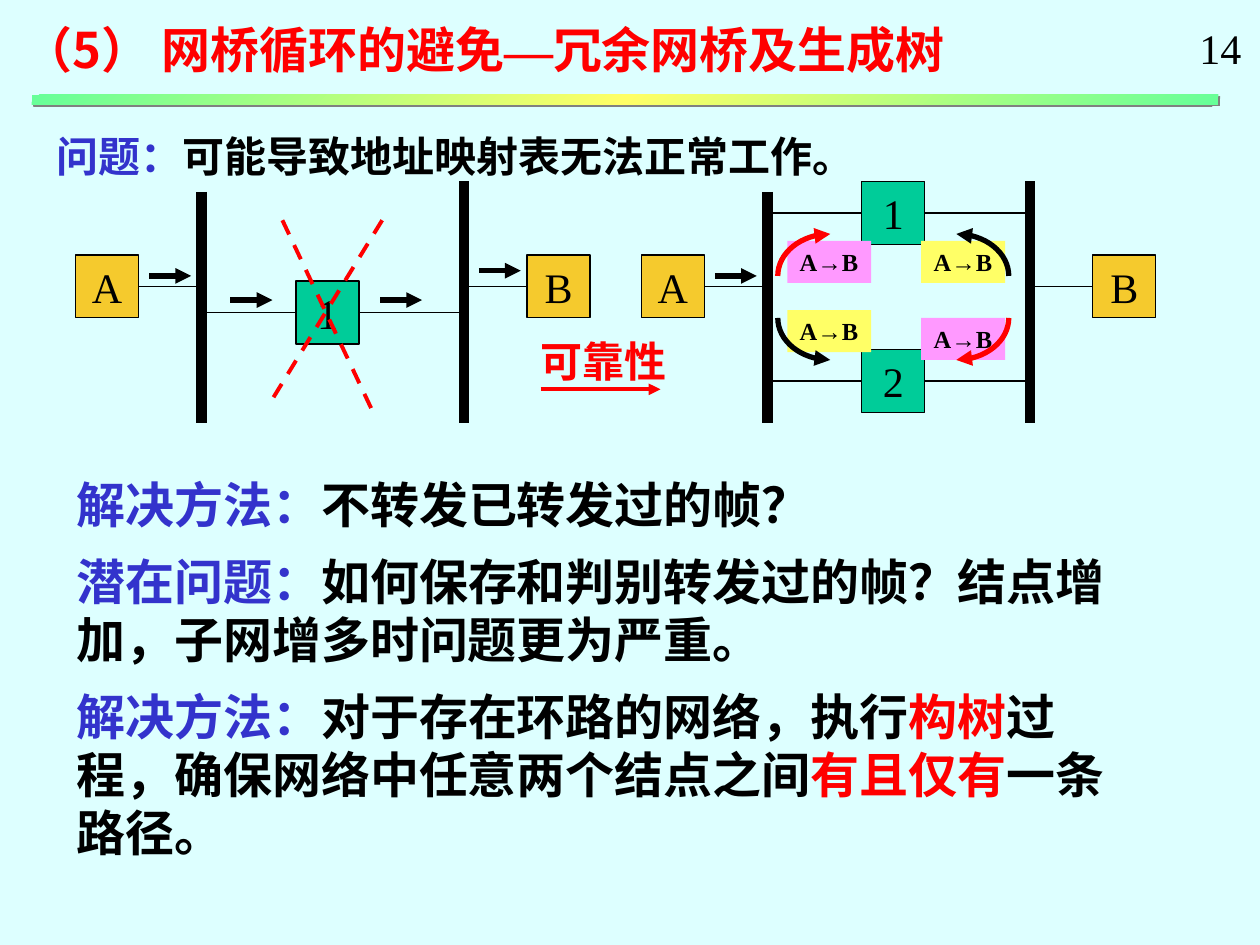
"""Build the slide on redundant bridges and the spanning tree."""
from copy import deepcopy
from dataclasses import dataclass
from math import cos, pi, sin
from typing import NamedTuple, Optional

from pptx import Presentation
from pptx import util as u
from pptx.dml.color import RGBColor
from pptx.enum import dml, shapes, text
from pptx.oxml import parse_xml
from pptx.oxml.ns import nsdecls, qn
from pptx.oxml.xmlchemy import OxmlElement


@dataclass(frozen=True)
class Theme:
    """Colours, fonts and type sizes of the slide."""
    background: str = "DDFFFF"
    ink: str = "000000"
    topic: str = "3333CC"
    alert: str = "FF0000"
    host: str = "F5CA2D"
    bridge: str = "00CC99"
    pink: str = "FF99FF"
    yellow: str = "FFFF66"
    mint: str = "66FF99"
    shade: str = "808080"
    serif: str = "Times New Roman"
    sans: str = "Noto Sans CJK SC"
    heading: float = 28
    normal: float = 24
    tag: float = 14
    thin: float = 0.75
    medium: float = 2.25
    thick: float = 3
    bus: float = 6
    leading: float = 1.19


class Span(NamedTuple):
    """A piece of text with its colour and an optional font."""
    words: str
    color: str
    font: Optional[str] = None


class Box(NamedTuple):
    """A labelled square placed by grid column and row."""
    label: str
    col: float
    row: float
    fill: str


class Tag(NamedTuple):
    """An address mapping entry placed by grid column and row."""
    col: float
    row: float
    fill: str


class Bend(NamedTuple):
    """A quarter turn given by its centre and its signed radii."""
    col: float
    row: float
    across: float
    down: float
    color: str


T = Theme()
CELL = 1 / 12
SIDE = 6
TOP = 1.44
FIRST_BUS, LAST_BUS, FOOT = 12, 37, 23
BEND_STEPS = 16


def rgb(value: str) -> RGBColor:
    """Turn a hex value into a colour."""
    return RGBColor.from_string(value)


def add_asian(font, name: str) -> None:
    """Name the East Asian typeface of a font."""
    face = OxmlElement("a:ea")
    face.set("typeface", name)
    font._rPr.find(qn("a:latin")).addnext(face)


def set_font(font, size: float, latin: str, asian: str, color: str, bold: bool = False) -> None:
    """Set every font property shared by a paragraph."""
    font.size, font.bold, font.name = u.Pt(size), bold, latin
    font.color.rgb = rgb(color)
    add_asian(font, asian)


def write(canvas, place: tuple, paragraphs: list, size: float, latin: str = T.sans,
          bold: bool = True, wrap: bool = True, middle: bool = False) -> None:
    """Add a text box with coloured spans."""
    frame = canvas.add_textbox(*(u.Inches(v) for v in place)).text_frame
    frame.word_wrap = wrap
    frame.vertical_anchor = text.MSO_ANCHOR.MIDDLE if middle else text.MSO_ANCHOR.TOP
    for index, spans in enumerate(paragraphs):
        paragraph = frame.add_paragraph() if index else frame.paragraphs[0]
        paragraph._p.get_or_add_pPr().set("hangingPunct", "0")
        if index:
            paragraph.space_before = u.Pt(10.5)
        paragraph.line_spacing = u.Pt(size * T.leading)
        set_font(paragraph.font, size, latin, T.sans, spans[0].color, bold)
        for span in spans:
            run = paragraph.add_run()
            run.text = span.words
            if span.color != spans[0].color:
                run.font.color.rgb = rgb(span.color)
            if span.font:
                run.font.name = span.font
                add_asian(run.font, span.font)


def add_arrow(line, end: str) -> None:
    """Put a triangle on the head or tail end of a line."""
    arrow = OxmlElement(f"a:{end}End")
    arrow.set("type", "triangle")
    line._get_or_add_ln().append(arrow)


@dataclass
class Diagram:
    """A network drawn on a grid that starts at a left edge."""
    canvas: object
    left: float

    def place(self, col: float, row: float) -> tuple:
        """Turn a grid point into lengths."""
        return u.Inches(self.left + col * CELL), u.Inches(TOP + row * CELL)

    def block(self, col: float, row: float, width: float, height: float, fill: str, label: str, size: float):
        """Draw a filled rectangle with a label."""
        shape = self.canvas.add_shape(shapes.MSO_SHAPE.RECTANGLE, *self.place(col, row),
                                      u.Inches(width * CELL), u.Inches(height * CELL))
        shape.shadow.inherit = False
        shape.fill.solid()
        shape.fill.fore_color.rgb = rgb(fill)
        shape.line.fill.background()
        shape.text_frame.word_wrap = False
        paragraph = shape.text_frame.paragraphs[0]
        paragraph.text = label
        set_font(paragraph.font, size, T.serif, T.serif, T.ink, size == T.tag)
        return shape

    def square(self, box: Box):
        """Draw a host or a bridge."""
        shape = self.block(box.col, box.row, SIDE, SIDE, box.fill, box.label, T.normal)
        shape.line.color.rgb = rgb(T.ink)
        shape.line.width = u.Pt(T.thin)
        shape.text_frame.vertical_anchor = text.MSO_ANCHOR.MIDDLE
        shape.text_frame.paragraphs[0].alignment = text.PP_ALIGN.CENTER
        return shape

    def tag(self, tag: Tag) -> None:
        """Draw a mapping entry."""
        shape = self.block(tag.col, tag.row, 8, 4, tag.fill, "A→B", T.tag)
        shape.text_frame.vertical_anchor = text.MSO_ANCHOR.TOP
        shape.text_frame.paragraphs[0].alignment = text.PP_ALIGN.LEFT

    def line(self, start: tuple, end: tuple, width: float, color: str = T.ink,
             arrow: bool = False, dashed: bool = False):
        """Draw a straight line between two grid points."""
        link = self.canvas.add_connector(shapes.MSO_CONNECTOR.STRAIGHT, *self.place(*start), *self.place(*end))
        link.line.color.rgb = rgb(color)
        link.line.width = u.Pt(width)
        if dashed:
            link.line.dash_style = dml.MSO_LINE.DASH
        if arrow:
            add_arrow(link.line, "tail")
        link._element.spPr.append(OxmlElement("a:effectLst"))
        return link

    def arrow(self, col: float, row: float) -> None:
        """Draw a short arrow for a travelling frame."""
        self.line((col, row), (col + 4, row), T.thick, arrow=True)

    def wire(self, shape, box: Box, bus: int) -> None:
        """Join a square to a bus."""
        row = box.row + SIDE / 2
        if box.col > bus:
            self.line((bus, row), (box.col, row), T.thin).end_connect(shape, 1)
        else:
            self.line((box.col + SIDE, row), (bus, row), T.thin).begin_connect(shape, 3)

    def bend(self, bend: Bend) -> None:
        """Draw a quarter turn with an arrowhead at its start."""
        turns = [step * pi / 2 / BEND_STEPS for step in range(BEND_STEPS + 1)]
        points = [self.place(bend.col + bend.across * sin(t), bend.row + bend.down * cos(t)) for t in turns]
        builder = self.canvas.build_freeform(*points[0])
        builder.add_line_segments(points[1:], close=False)
        curve = builder.convert_to_shape()
        curve.shadow.inherit = False
        curve.fill.background()
        curve.line.color.rgb = rgb(bend.color)
        curve.line.width = u.Pt(T.thick)
        add_arrow(curve.line, "head")

    def network(self, bridges: list) -> None:
        """Draw two hosts and two buses joined by bridges."""
        for bus, top in ((FIRST_BUS, 1), (LAST_BUS, 0)):
            self.line((bus, top), (bus, FOOT), T.bus)
        for box in bridges:
            shape = self.square(box)
            for bus in (FIRST_BUS, LAST_BUS):
                self.wire(shape, box, bus)
        for box, bus in ((Box("A", 0, 7, T.host), FIRST_BUS), (Box("B", 43, 7, T.host), LAST_BUS)):
            self.wire(self.square(box), box, bus)


def draw_rule(canvas) -> None:
    """Draw the gradient bar below the title."""
    bar = canvas.add_shape(shapes.MSO_SHAPE.RECTANGLE, *(u.Inches(v) for v in (0.25, 0.75, 9.42, 0.08)))
    bar.line.fill.background()
    bar.fill.gradient()
    bar.fill.gradient_angle = 315
    first, last = bar.fill.gradient_stops
    first.color.rgb = last.color.rgb = rgb(T.mint)
    first.position, last.position = 0, 1
    stops = bar._element.spPr.find(qn("a:gradFill")).find(qn("a:gsLst"))
    stops.insert(1, deepcopy(stops[0]))
    middle = bar.fill.gradient_stops[1]
    middle.position, middle.color.rgb = 0.5, rgb(T.yellow)
    bar._element.spPr.append(parse_xml(
        f'<a:effectLst {nsdecls("a")}><a:outerShdw dist="17780" dir="2700000">'
        f'<a:srgbClr val="{T.shade}"/></a:outerShdw></a:effectLst>'))


def draw_redundant(canvas) -> None:
    """Draw the network with two parallel bridges."""
    net = Diagram(canvas, 5.09)
    net.network([Box("1", 21, 0, T.bridge), Box("2", 21, 16, T.bridge)])
    for tag in (Tag(26.65, 13, T.pink), Tag(13.9, 5.65, T.pink),
                Tag(26.65, 5.65, T.yellow), Tag(13.9, 12.25, T.yellow)):
        net.tag(tag)
    for bend in (Bend(30, 13, 5, 4, T.alert), Bend(30, 9, 5, -4, T.ink),
                 Bend(18, 9, -5, -4, T.alert), Bend(18, 13, -5, 4, T.ink)):
        net.bend(bend)
    net.arrow(7, 9)


def draw_single(canvas) -> None:
    """Draw the network whose only bridge has failed."""
    net = Diagram(canvas, 0.6)
    net.network([Box("1", 21, 9.5, T.bridge)])
    for col, row in ((7, 9), (14.75, 11.3), (29, 11.3), (38.4, 8.5)):
        net.arrow(col, row)
    for start, end in (((19.7, 3.7), (28.2, 21.7)), ((29.2, 3.7), (18.7, 20.8))):
        net.line(start, end, T.medium, T.alert, dashed=True)
    write(canvas, (4.19, 2.62, 1.2, 0.5), [[Span("可靠性", T.alert)]], T.normal, T.serif, wrap=False)
    net.line((44.3, 19.8), (55.7, 19.8), T.medium, T.alert, arrow=True)


def main() -> None:
    """Assemble and save the slide."""
    deck = Presentation()
    deck.slide_width, deck.slide_height = u.Inches(10), u.Inches(7.5)
    slide = deck.slides.add_slide(deck.slide_layouts[6])
    slide.background.fill.solid()
    slide.background.fill.fore_color.rgb = rgb(T.background)
    canvas = slide.shapes
    write(canvas, (0.51, 3.94, 8.44, 2.73), [
        [Span("解决方法：", T.topic), Span("不转发已转发过的帧？", T.ink)],
        [Span("潜在问题：", T.topic), Span("如何保存和判别转发过的帧？结点增加，子网增多时问题更为严重。", T.ink)],
        [Span("解决方法：", T.topic), Span("对于存在环路的网络，执行", T.ink), Span("构树", T.alert),
         Span("过程，确保网络中任意两个结点之间", T.ink), Span("有且仅有", T.alert), Span("一条路径。", T.ink)],
    ], T.heading, middle=True)
    write(canvas, (0.35, 0.99, 8.69, 0.5),
          [[Span("问题：", T.topic), Span("可能导致地址映射表无法正常工作。", T.ink)]], T.normal)
    write(canvas, (9.42, 0.13, 0.53, 0.5), [[Span("14", T.ink)]], T.normal, T.serif, bold=False, wrap=False)
    draw_rule(canvas)
    write(canvas, (0.09, 0.11, 7.75, 0.57),
          [[Span("（5） 网桥循环的避免", T.alert), Span("—", T.alert, T.serif), Span("冗余网桥及生成树", T.alert)]], T.heading)
    draw_redundant(canvas.add_group_shape().shapes)
    draw_single(canvas.add_group_shape().shapes)
    deck.save("out.pptx")


if __name__ == "__main__":
    main()
